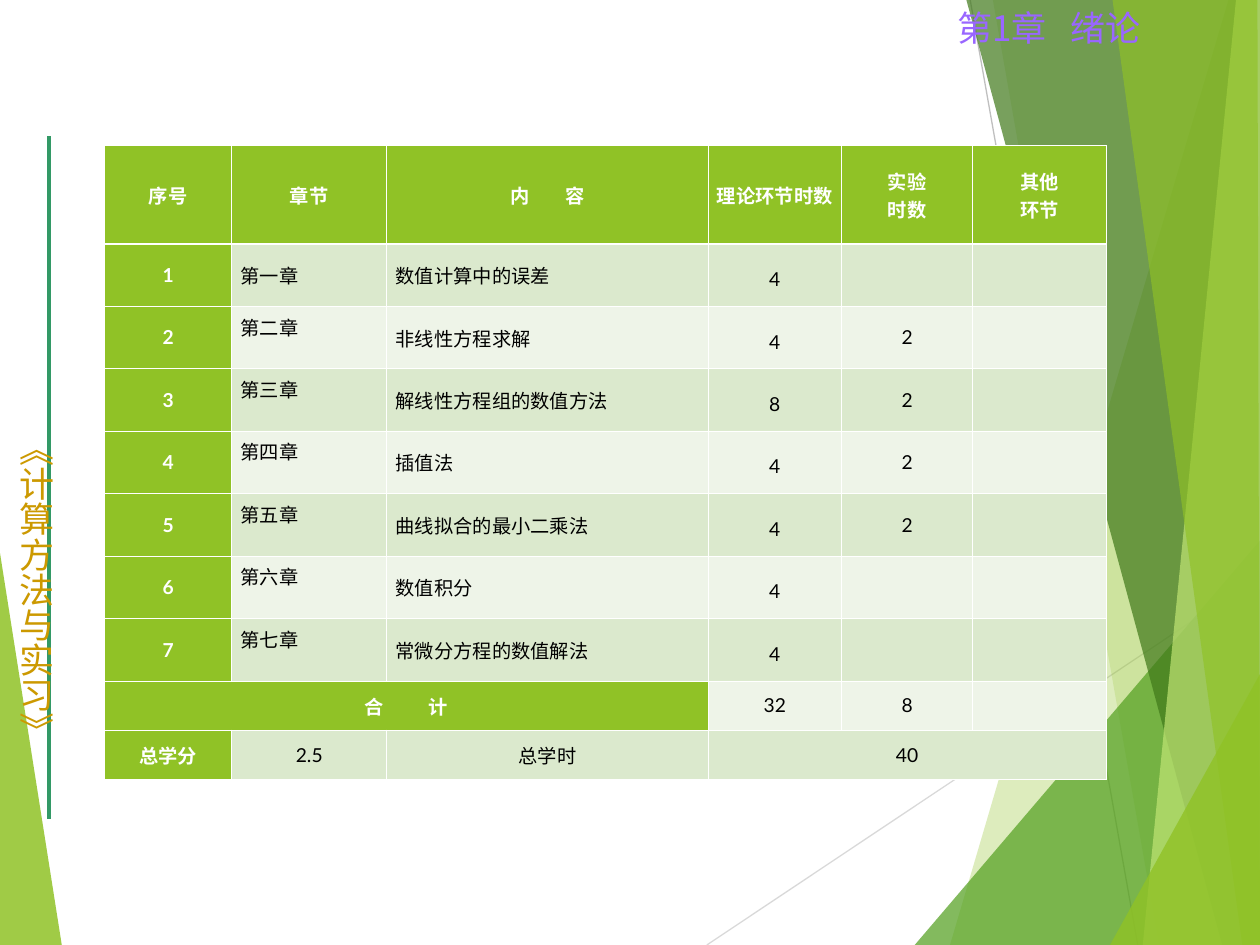
from lxml import etree
from pptx import Presentation
from pptx import util as u
from pptx.dml.color import RGBColor
from pptx.enum import shapes, text
from pptx.oxml.ns import qn

WIDTH, HEIGHT = 10, 7.5
COLORS = {
    "leaf": "90C226", "grass": "54A021", "forest": "3F7819", "lime": "C0E474",
    "silver": "D9D9D9", "gray": "BFBFBF", "rule": "339966", "violet": "9966FF",
    "gold": "CC9900", "white": "FFFFFF", "black": "000000",
    "band": "DBE9CD", "pale": "EEF4E8",
}
CJK_FONT = "Noto Sans CJK JP"
FACETS = [
    ("leaf", 85, [(0, 58.53), (4.9, 100), (0, 100)]),
    ("leaf", 30, [(97.5, 0), (75.4, 100), (100, 100), (100, 0)]),
    ("leaf", 20, [(78.8, 0), (92, 100), (100, 100), (100, 0)]),
    ("grass", 72, [(72.6, 100), (100, 57.2), (100, 100)]),
    ("forest", 70, [(76.7, 0), (97, 100), (100, 100), (100, 0)]),
    ("lime", 70, [(98.1, 0), (90.7, 100), (100, 100), (100, 0)]),
    ("leaf", 65, [(88.3, 0), (98.6, 100), (100, 100), (99.8, 0)]),
    ("leaf", 80, [(88.1, 100), (100, 71.33), (100, 100)]),
]
COLUMNS = [10.1, 12.3, 25.5, 10.6, 10.4, 10.6]
HEADER_ROW, LESSON_ROW, TOTAL_ROW = 10.4, 6.61, 5.2
HEADER = ["序号", "章节", "内 容", "理论环节时数", "实验\n时数", "其他\n环节"]
LESSONS = [
    ("第一章", "数值计算中的误差", "4", ""),
    ("第二章", "非线性方程求解", "4", "2"),
    ("第三章", "解线性方程组的数值方法", "8", "2"),
    ("第四章", "插值法", "4", "2"),
    ("第五章", "曲线拟合的最小二乘法", "4", "2"),
    ("第六章", "数值积分", "4", ""),
    ("第七章", "常微分方程的数值解法", "4", ""),
]
TOTALS = [["合 计", "", "", "32", "8", ""], ["总学分", "2.5", "总学时", "40", "", ""]]


def across(percent):
    """Turn a percentage of the slide width into a length."""
    return u.Inches(WIDTH * percent / 100)


def down(percent):
    """Turn a percentage of the slide height into a length."""
    return u.Inches(HEIGHT * percent / 100)


def rgb(name):
    """Look up a named colour."""
    return RGBColor.from_string(COLORS[name])


def add_facet(page, color, opacity, points):
    """Draw one translucent polygon."""
    corners = [(across(x), down(y)) for x, y in points]
    builder = page.shapes.build_freeform(*corners[0], scale=1.0)
    builder.add_line_segments(corners[1:], close=True)
    facet = builder.convert_to_shape()
    facet.shadow.inherit = False
    facet.line.fill.background()
    facet.fill.solid()
    facet.fill.fore_color.rgb = rgb(color)
    tint = facet.fill._xPr.find(f".//{qn('a:srgbClr')}")
    etree.SubElement(tint, qn("a:alpha"), val=str(opacity * 1000))


def add_line(page, start, end, color, weight):
    """Draw a straight line between two points."""
    line = page.shapes.add_connector(
        shapes.MSO_CONNECTOR.STRAIGHT,
        across(start[0]), down(start[1]), across(end[0]), down(end[1]))
    line.line.color.rgb = rgb(color)
    line.line.width = u.Pt(weight)
    etree.SubElement(line._element.spPr, qn("a:effectLst"))


def add_span(para, words, size, color, font, bold=False, spacing=0):
    """Append one formatted run."""
    span = para.add_run()
    span.text = words
    span.font.size = u.Pt(size)
    span.font.bold = bold
    span.font.name = font
    span.font.color.rgb = rgb(color)
    properties = span.font._element
    etree.SubElement(properties, qn("a:ea"), typeface=CJK_FONT)
    if spacing:
        properties.set("spc", str(int(spacing * 100)))


def add_label(page, place, indent, spans, color, margins, vertical=False):
    """Add an indented running title, horizontal or vertical."""
    left, top, width, height = place
    box = page.shapes.add_textbox(across(left), down(top), across(width), down(height))
    frame = box.text_frame
    frame.word_wrap = True
    frame.margin_left = frame.margin_right = u.Inches(margins[0])
    frame.margin_top = frame.margin_bottom = u.Inches(margins[1])
    if vertical:
        frame._txBody.bodyPr.set("vert", "eaVert")
    para = frame.paragraphs[0]
    para._p.get_or_add_pPr().set("marL", str(u.Inches(indent)))
    for words, font, spacing in spans:
        add_span(para, words, 20, color, font, spacing=spacing)


def add_borders(cell, row):
    """Edge a cell in white, with a heavier rule under the header."""
    heavy = {(0, "B"), (1, "T")}
    properties = cell._tc.get_or_add_tcPr()
    for side in "LRTB":
        weight = 1.5 if (row, side) in heavy else 0.5
        edge = etree.SubElement(properties, qn(f"a:ln{side}"), w=str(u.Pt(weight)))
        fill = etree.SubElement(edge, qn("a:solidFill"))
        etree.SubElement(fill, qn("a:srgbClr"), val=COLORS["white"])


def fill_cell(cell, row, column, words):
    """Style one table cell and write its text."""
    add_borders(cell, row)
    heading = row == 0 or column == 0
    lesson = 0 < row <= len(LESSONS)
    cell.fill.solid()
    cell.fill.fore_color.rgb = rgb("leaf" if heading else "band" if row % 2 else "pale")
    cell.margin_left = cell.margin_right = u.Inches(0.07)
    top = column == 1 and lesson and row > 1
    cell.vertical_anchor = text.MSO_ANCHOR.TOP if top else text.MSO_ANCHOR.MIDDLE
    for index, content in enumerate(words.split("\n")):
        frame = cell.text_frame
        para = frame.add_paragraph() if index else frame.paragraphs[0]
        justified = lesson and column in (1, 2)
        para.alignment = text.PP_ALIGN.JUSTIFY if justified else text.PP_ALIGN.CENTER
        if lesson and column == 3:
            para.line_spacing = u.Pt(18)
        color = "white" if heading else "black"
        first, gap, last = content.partition(" ")
        for piece in filter(None, (first, gap, last)):
            spread = (18 if row == 0 else 23) if piece == " " else 0
            add_span(para, piece, 11, color, "Lato", heading, spread)
        if not content:
            etree.SubElement(para._p, qn("a:endParaRPr"), sz="1100")


def add_schedule(page):
    """Add the table of chapters and teaching hours."""
    lessons = [[str(number), *lesson, ""] for number, lesson in enumerate(LESSONS, 1)]
    rows = [HEADER, *lessons, *TOTALS]
    heights = [HEADER_ROW] + [LESSON_ROW] * len(LESSONS) + [TOTAL_ROW] * len(TOTALS)
    table = page.shapes.add_table(
        len(rows), len(COLUMNS), across(8.3), down(15.4),
        across(sum(COLUMNS)), down(sum(heights))).table
    for column, width in zip(table.columns, COLUMNS):
        column.width = across(width)
    for row, height in zip(table.rows, heights):
        row.height = down(height)
    for row, words in enumerate(rows):
        for column, content in enumerate(words):
            fill_cell(table.cell(row, column), row, column, content)
    total, last = len(rows) - 2, len(rows) - 1
    table.cell(total, 0).merge(table.cell(total, 2))
    table.cell(last, 3).merge(table.cell(last, 5))


def main():
    """Build and save the slide."""
    deck = Presentation()
    deck.slide_width, deck.slide_height = u.Inches(WIDTH), u.Inches(HEIGHT)
    page = deck.slides.add_slide(deck.slide_layouts[6])
    add_line(page, (56.1, 100), (100, 60.93), "silver", 0.75)
    add_line(page, (77, 0), (90.3, 100), "gray", 0.75)
    for facet in FACETS:
        add_facet(page, *facet)
    chapter = [("第1章", CJK_FONT, 0), (" ", CJK_FONT, 9), ("绪论", "Times New Roman", 0)]
    add_label(page, (66.7, 0, 29.2, 5.87), 0.83, chapter, "violet", (0.1, 0.05))
    add_line(page, (3.9, 14.4), (3.9, 86.67), "rule", 2.25)
    course = [("《计算方法与实习》", CJK_FONT, 0)]
    add_label(page, (-0.3, 23.33, 5.3, 64.4), 1.58, course, "gold", (0.05, 0.1), True)
    add_schedule(page)
    deck.save("out.pptx")


if __name__ == "__main__":
    main()
